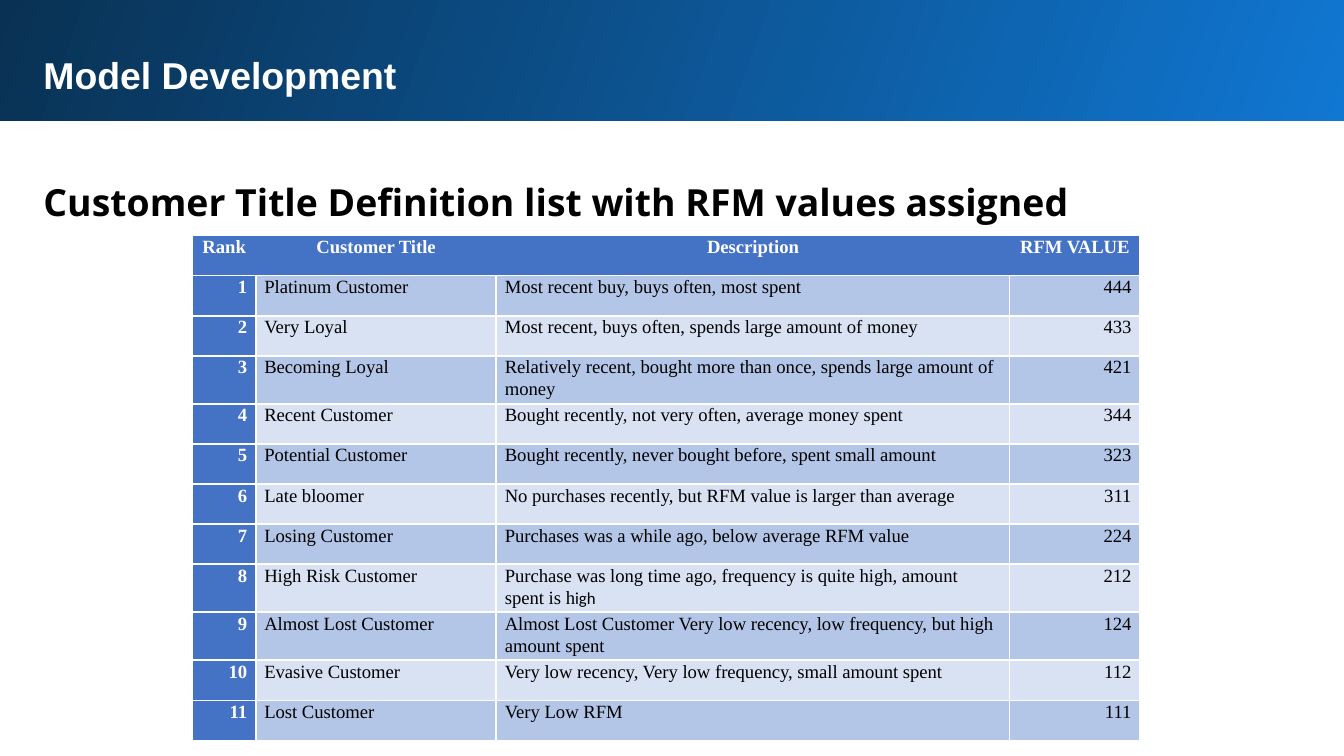
from typing import NamedTuple

from lxml import etree
from pptx import Presentation, util as u
from pptx.dml.color import RGBColor
from pptx.enum import shapes, text
from pptx.oxml.ns import qn

SLIDE_WIDTH = u.Inches(10)
SLIDE_HEIGHT = SLIDE_WIDTH * 9 // 16
WHITE, BLACK = "FFFFFF", "000000"
HEADER_BLUE, BANDS = "4472C4", ("B4C6E7", "D9E2F3")
LEFT, CENTER, RIGHT = text.PP_ALIGN.LEFT, text.PP_ALIGN.CENTER, text.PP_ALIGN.RIGHT


class Span(NamedTuple):
    words: str
    size: float = 10
    font: str = "Times New Roman"


class Heading(NamedTuple):
    span: Span
    top: float
    height: float
    color: str
    spacing: float


class Column(NamedTuple):
    title: str
    width: float
    align: text.PP_ALIGN


class Segment(NamedTuple):
    title: str
    description: tuple[Span, ...]
    rfm: int


HEADINGS = (
    Heading(Span("Model Development", 20, "Arial"), 5.1, 9.1, WHITE, 1),
    Heading(Span("Customer Title Definition list with RFM values assigned", 20, "Open Sans"),
            21, 10, BLACK, 1.15),
)
COLUMNS = (
    Column("Rank", 4.7, RIGHT),
    Column("Customer Title", 17.9, LEFT),
    Column("Description", 38.2, LEFT),
    Column("RFM VALUE", 9.7, RIGHT),
)
ROW_HEIGHT = 5.31
SEGMENTS = (
    Segment("Platinum Customer", (Span("Most recent buy, buys often, most spent"),), 444),
    Segment("Very Loyal", (Span("Most recent, buys often, spends large amount of money"),), 433),
    Segment("Becoming Loyal",
            (Span("Relatively recent, bought more than once, spends large amount of money"),), 421),
    Segment("Recent Customer",
            (Span("Bought recently, not very often, average money spent"),), 344),
    Segment("Potential Customer",
            (Span("Bought recently, never bought before, spent small amount"),), 323),
    Segment("Late bloomer",
            (Span("No purchases recently, but RFM value is larger than average"),), 311),
    Segment("Losing Customer",
            (Span("Purchases was a while ago, below average RFM value"),), 224),
    Segment("High Risk Customer",
            (Span("Purchase was long time ago, frequency is quite high, amount spent is h"),
             Span("igh", 9, "Calibri")), 212),
    Segment("Almost Lost Customer",
            (Span("Almost Lost Customer Very low recency, low frequency, but high amount spent"),),
            124),
    Segment("Evasive Customer",
            (Span("Very low recency, Very low frequency, small amount spent"),), 112),
    Segment("Lost Customer", (Span("Very Low RFM"),), 111),
)


def across(percent: float) -> int:
    """Length as a percentage of the slide's width."""
    return round(SLIDE_WIDTH * percent / 100)


def down(percent: float) -> int:
    """Length as a percentage of the slide's height."""
    return round(SLIDE_HEIGHT * percent / 100)


def rgb(value: str) -> RGBColor:
    return RGBColor.from_string(value)


def write(para, spans: tuple[Span, ...], color: str, bold: bool, spacing: float,
          align: text.PP_ALIGN = LEFT) -> None:
    para.alignment, para.line_spacing = align, spacing
    for span in spans:
        run = para.add_run()
        run.text = span.words
        run.font.size, run.font.name, run.font.bold = u.Pt(span.size), span.font, bold
        run.font.color.rgb = rgb(color)


def draw_banner(page) -> None:
    banner = page.shapes.add_shape(shapes.MSO_SHAPE.RECTANGLE,
                                   across(-0.2), down(-0.4), across(100.5), down(16.4))
    banner.shadow.inherit = False
    banner.line.fill.background()
    banner.fill.gradient()
    banner.fill.gradient_angle = 160
    for stop, color in zip(banner.fill.gradient_stops, ("1077D2", "093153")):
        stop.color.rgb = rgb(color)


def draw_heading(page, heading: Heading) -> None:
    box = page.shapes.add_textbox(across(2.25), down(heading.top),
                                  across(93.7), down(heading.height))
    frame = box.text_frame
    frame.word_wrap = True
    frame.auto_size = text.MSO_AUTO_SIZE.SHAPE_TO_FIT_TEXT
    frame.margin_left = frame.margin_right = u.Inches(0.1)
    frame.margin_top = frame.margin_bottom = u.Inches(0.1)
    write(frame.paragraphs[0], (heading.span,), heading.color, True, heading.spacing)


def set_borders(cell, visible: str) -> None:
    """Draw white lines on the sides named in visible (L, R, T, B) and clear the others."""
    properties = cell._tc.get_or_add_tcPr()
    for side in "LRTB":
        line = etree.SubElement(properties, qn(f"a:ln{side}"), w=str(u.Pt(1)))
        if side in visible:
            fill = etree.SubElement(line, qn("a:solidFill"))
            etree.SubElement(fill, qn("a:srgbClr"), val=WHITE)
        else:
            etree.SubElement(line, qn("a:noFill"))


def fill_cell(cell, spans: tuple[Span, ...], fill: str, align: text.PP_ALIGN,
              borders: str = "LRTB") -> None:
    set_borders(cell, borders)
    cell.fill.solid()
    cell.fill.fore_color.rgb = rgb(fill)
    cell.margin_left = cell.margin_right = u.Pt(4.6)
    cell.margin_top = cell.margin_bottom = 0
    strong = fill == HEADER_BLUE
    write(cell.text_frame.paragraphs[0], spans, WHITE if strong else BLACK, strong, 1.07, align)


def draw_table(page) -> None:
    rows = len(SEGMENTS) + 1
    width = sum(column.width for column in COLUMNS)
    table = page.shapes.add_table(rows, len(COLUMNS), across(14.33), down(31.15),
                                  across(width), down(ROW_HEIGHT * rows)).table
    for row in table.rows:
        row.height = down(ROW_HEIGHT)
    last = len(COLUMNS) - 1
    for index, column in enumerate(COLUMNS):
        table.columns[index].width = across(column.width)
        borders = "TB" + "L" * (index == 0) + "R" * (index == last)
        fill_cell(table.cell(0, index), (Span(column.title),), HEADER_BLUE, CENTER, borders)
    for rank, segment in enumerate(SEGMENTS, 1):
        band = BANDS[(rank - 1) % 2]
        contents = ((Span(str(rank)),), (Span(segment.title),),
                    segment.description, (Span(str(segment.rfm)),))
        for index, (column, spans) in enumerate(zip(COLUMNS, contents)):
            fill = HEADER_BLUE if index == 0 else band
            fill_cell(table.cell(rank, index), spans, fill, column.align)


def main() -> None:
    deck = Presentation()
    deck.slide_width, deck.slide_height = SLIDE_WIDTH, SLIDE_HEIGHT
    page = deck.slides.add_slide(deck.slide_layouts[6])
    draw_banner(page)
    for heading in HEADINGS:
        draw_heading(page, heading)
    draw_table(page)
    deck.save("out.pptx")


if __name__ == "__main__":
    main()
